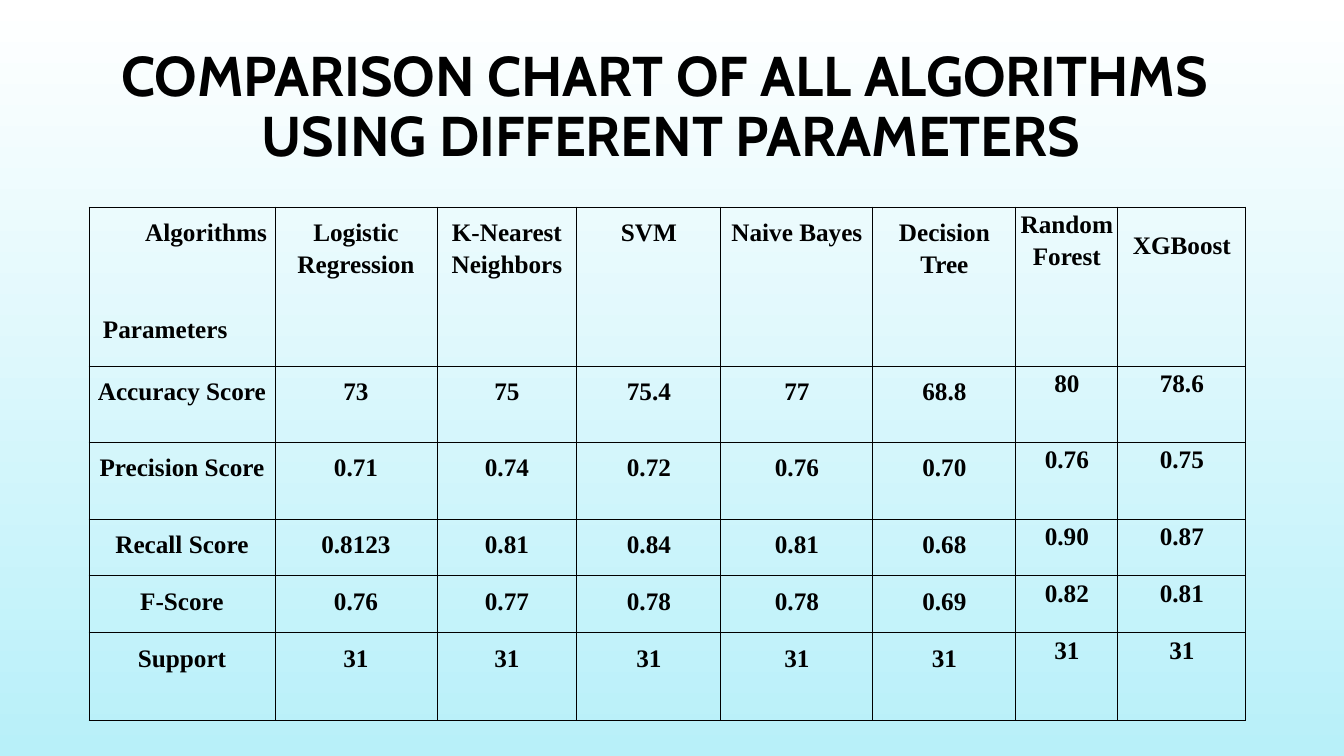
from lxml.etree import SubElement
from pptx import Presentation
from pptx.dml.color import RGBColor
from pptx.enum.text import MSO_ANCHOR, MSO_AUTO_SIZE, PP_ALIGN
from pptx.oxml.ns import qn
from pptx.util import Pt

EMU_PER_PX = 914400 / 100.8
BLACK = "000000"
BORDER_WIDTH = Pt(0.75)


def px(length):
    return round(length * EMU_PER_PX)


def write(paragraph, text, font="Times New Roman", size=18, align=PP_ALIGN.CENTER,
          spacing=1.15, color=BLACK):
    paragraph.text = text
    paragraph.alignment = align
    paragraph.line_spacing = spacing
    paragraph.space_before = paragraph.space_after = Pt(0)
    for target in (paragraph.font, *(run.font for run in paragraph.runs)):
        target.name = font
        target.size = Pt(size)
        target.bold = True
        target.color.rgb = RGBColor.from_string(color)


presentation = Presentation()
presentation.slide_width = px(1344)
presentation.slide_height = px(756)
slide = presentation.slides.add_slide(presentation.slide_layouts[5])

# Background gradient, from top to bottom
background = slide.background.fill
background.gradient()
background.gradient_angle = 270
for stop, color in zip(background.gradient_stops, ("FFFFFF", "B8F0F9")):
    stop.color.rgb = RGBColor.from_string(color)

# Title
title = slide.shapes.title
title.left, title.top, title.width, title.height = px(45), px(35), px(1252), px(84)
frame = title.text_frame
frame.word_wrap = True
frame.auto_size = MSO_AUTO_SIZE.NONE
frame.vertical_anchor = MSO_ANCHOR.TOP
frame.margin_left = frame.margin_right = frame.margin_top = frame.margin_bottom = px(13)
write(frame.paragraphs[0], "COMPARISON CHART OF ALL ALGORITHMS \vUSING DIFFERENT PARAMETERS",
      font="Cabin", size=40, spacing=0.9)

# Table
scores = [
    ["Algorithms", "Logistic Regression", "K-Nearest Neighbors", "SVM", "Naive Bayes",
     "Decision Tree", "Random Forest", "XGBoost"],
    ["Accuracy Score", "73", "75", "75.4", "77", "68.8", "80", "78.6"],
    ["Precision Score", "0.71", "0.74", "0.72", "0.76", "0.70", "0.76", "0.75"],
    ["Recall Score", "0.8123", "0.81", "0.84", "0.81", "0.68", "0.90", "0.87"],
    ["F-Score", "0.76", "0.77", "0.78", "0.78", "0.69", "0.82", "0.81"],
    ["Support", "31", "31", "31", "31", "31", "31", "31"],
]
column_widths = [186, 162, 140, 144, 152, 143, 102, 128]
row_heights = [159, 76, 77, 57, 57, 88]
table = slide.shapes.add_table(len(row_heights), len(column_widths), px(89), px(207),
                               px(sum(column_widths)), px(sum(row_heights))).table
table.first_row = table.horz_banding = False
for column, width in zip(table.columns, column_widths):
    column.width = px(width)
for row, height in zip(table.rows, row_heights):
    row.height = px(height)

for row_index, row_texts in enumerate(scores):
    for column_index, text in enumerate(row_texts):
        cell = table.cell(row_index, column_index)
        margin = px(8) if column_index < 6 else 0
        cell.margin_left = cell.margin_right = cell.margin_top = cell.margin_bottom = margin
        cell.vertical_anchor = MSO_ANCHOR.TOP
        write(cell.text_frame.paragraphs[0], text)

        # Thin black border on every side, no fill
        properties = cell._tc.get_or_add_tcPr()
        for side in ("a:lnL", "a:lnR", "a:lnT", "a:lnB"):
            line = SubElement(properties, qn(side), w=str(BORDER_WIDTH))
            SubElement(SubElement(line, qn("a:solidFill")), qn("a:srgbClr"), val=BLACK)
        cell.fill.background()

# Corner cell names both axes
corner = table.cell(0, 0).text_frame
algorithms = corner.paragraphs[0]
algorithms.alignment = PP_ALIGN.RIGHT
algorithms.space_after = Pt(46)
parameters = corner.add_paragraph()
write(parameters, "Parameters", align=PP_ALIGN.LEFT)
parameters._p.get_or_add_pPr().set("marL", str(px(6)))

# Last heading sits a little lower
table.cell(0, 7).margin_top = px(21)

presentation.save("out.pptx")
